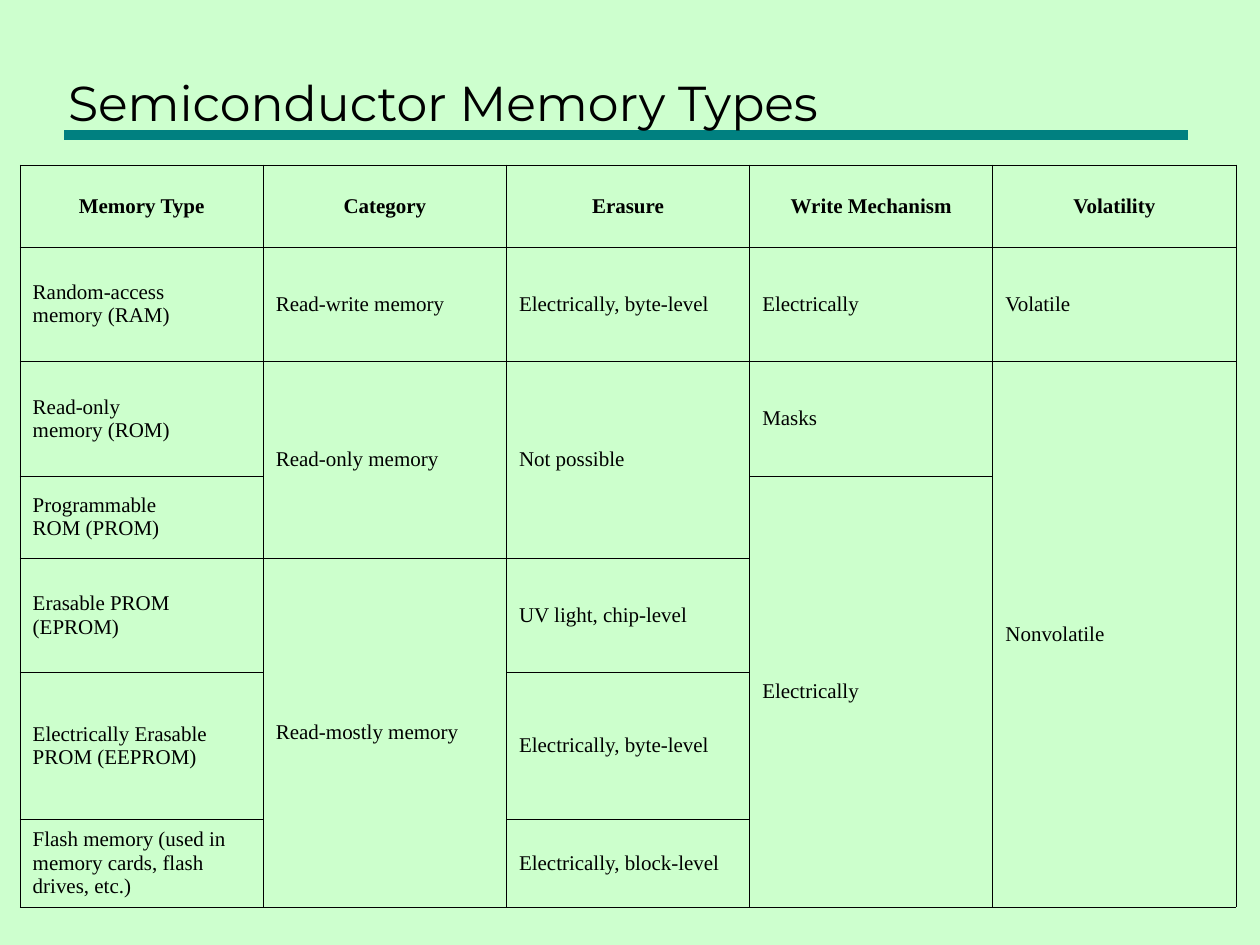
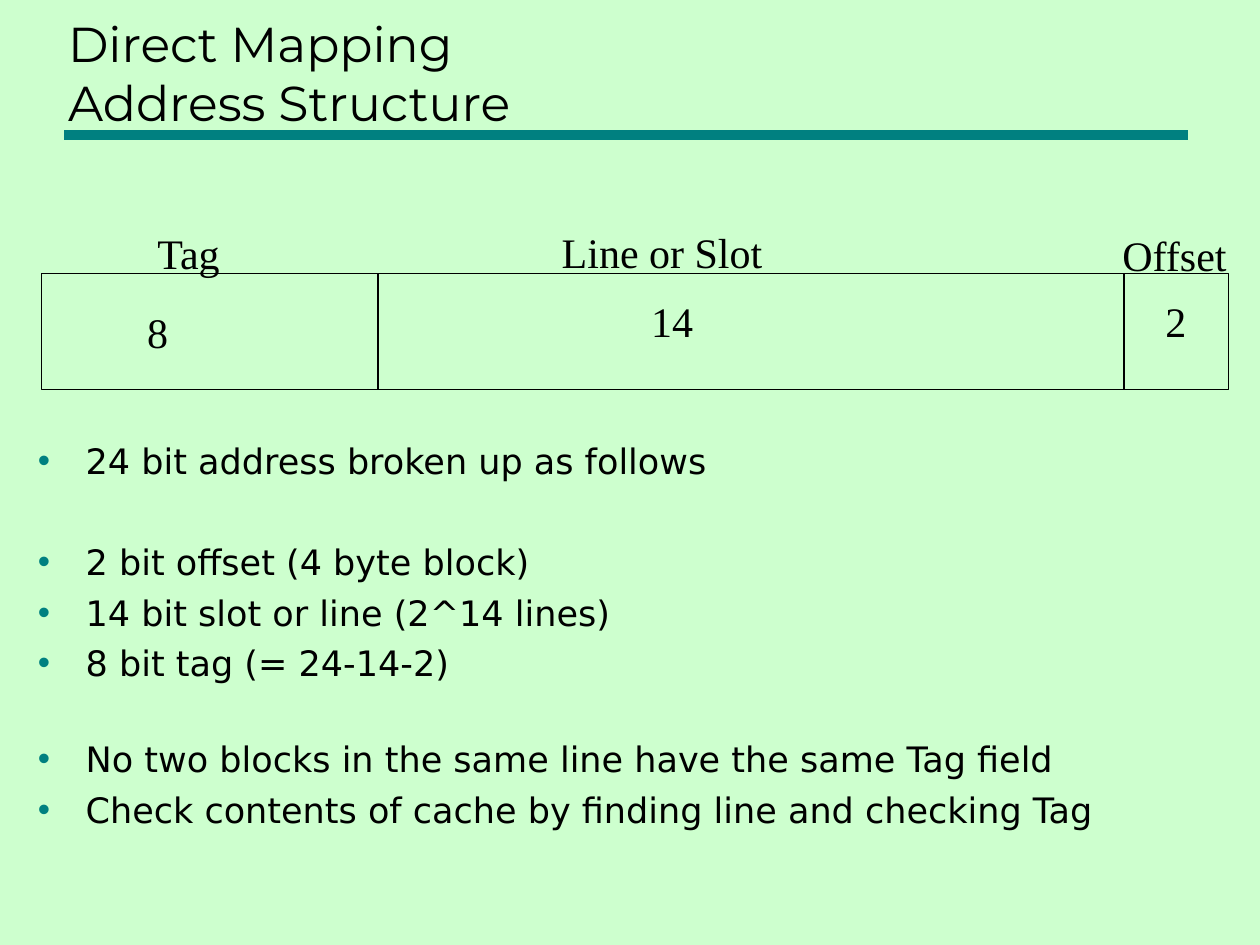
from lxml import etree
from pptx import Presentation
from pptx.dml.color import RGBColor
from pptx.enum.shapes import MSO_CONNECTOR, MSO_SHAPE
from pptx.enum.text import MSO_ANCHOR, MSO_AUTO_SIZE, PP_ALIGN
from pptx.oxml.ns import qn
from pptx.util import Inches, Pt

LEFT, CENTER = PP_ALIGN.LEFT, PP_ALIGN.CENTER
MIDDLE, BOTTOM = MSO_ANCHOR.MIDDLE, MSO_ANCHOR.BOTTOM
NO_AUTOFIT, FIT_SHAPE = MSO_AUTO_SIZE.NONE, MSO_AUTO_SIZE.SHAPE_TO_FIT_TEXT
STRAIGHT, RECTANGLE = MSO_CONNECTOR.STRAIGHT, MSO_SHAPE.RECTANGLE

BACKGROUND, CELL_FILL, TEAL, BLACK = "CDFFCE", "CCFFCC", "008080", "000000"
TITLE_FONT, BODY_FONT, LABEL_FONT = "Montserrat", "DejaVu Sans", "Times New Roman"
TITLE_ONLY, TITLE_AND_BODY = 5, 1

MEMORY_HEADER = ["Memory Type", "Category", "Erasure", "Write Mechanism", "Volatility"]
# None continues the cell above it.
MEMORY_ROWS = [
    ["Random-access\nmemory (RAM)", "Read-write memory", "Electrically, byte-level",
     "Electrically", "Volatile"],
    ["Read-only\nmemory (ROM)", "Read-only memory", "Not possible", "Masks", "Nonvolatile"],
    ["Programmable\nROM (PROM)", None, None, "Electrically", None],
    ["Erasable PROM\n(EPROM)", "Read-mostly memory", "UV light, chip-level", None, None],
    ["Electrically Erasable PROM (EEPROM)", None, "Electrically, byte-level", None, None],
    ["Flash memory (used in memory cards, flash drives, etc.)", None,
     "Electrically, block-level", None, None],
]
ROW_HEIGHTS = [0.65, 0.91, 0.91, 0.65, 0.91, 1.16, 0.7]
COLUMN_WIDTH = 1.93

# Text, left, top, width
ADDRESS_LABELS = [
    ("Tag", 1.15, 1.76, 0.72),
    ("Line or Slot", 4.36, 1.75, 1.79),
    ("Offset", 8.81, 1.77, 1.03),
    ("8", 1.07, 2.38, 0.36),
    ("14", 5.07, 2.3, 0.53),
    ("2", 9.15, 2.3, 0.36),
]
# Text, space before in points
ADDRESS_NOTES = [
    ("24 bit address broken up as follows", 0),
    ("2 bit offset (4 byte block)", 33.5),
    ("14 bit slot or line (2^14 lines)", 5),
    ("8 bit tag (= 24-14-2)", 5),
    ("No two blocks in the same line have the same Tag field", 30.5),
    ("Check contents of cache by finding line and checking Tag", 5),
]


def rgb(color):
    return RGBColor.from_string(color)


def place(shape, left, top, width, height):
    shape.left, shape.top = Inches(left), Inches(top)
    shape.width, shape.height = Inches(width), Inches(height)


def style(paragraph, font, size, bold=False):
    paragraph.font.name = font
    paragraph.font.size = Pt(size)
    paragraph.font.bold = bold
    paragraph.font.color.rgb = rgb(BLACK)


def add_line(slide, x1, y1, x2, y2, color, width):
    line = slide.shapes.add_connector(
        STRAIGHT, Inches(x1), Inches(y1), Inches(x2), Inches(y2))
    line.line.color.rgb = rgb(color)
    line.line.width = Pt(width)
    etree.SubElement(line.element.spPr, qn("a:effectLst"))
    return line


def add_titled_slide(prs, layout, title):
    """Add a slide with its title above the teal rule."""
    slide = prs.slides.add_slide(prs.slide_layouts[layout])
    rule = add_line(slide, 0.51, 1.07, 9.43, 1.07, TEAL, 6)
    slide.shapes.element.insert(2, rule.element)
    place(slide.shapes.title, 0.44, 0.17, 8.97, 0.92)
    frame = slide.shapes.title.text_frame
    frame.auto_size = NO_AUTOFIT
    frame.vertical_anchor = BOTTOM
    heading = frame.paragraphs[0]
    heading.text = title
    heading.alignment = LEFT
    style(heading, TITLE_FONT, 28)
    return slide


def set_borders(cell, color, width):
    properties = cell._tc.get_or_add_tcPr()
    for index, side in enumerate(("a:lnL", "a:lnR", "a:lnT", "a:lnB")):
        border = etree.Element(qn(side), w=str(Pt(width)))
        fill = etree.SubElement(border, qn("a:solidFill"))
        etree.SubElement(fill, qn("a:srgbClr"), val=color)
        properties.insert(index, border)


def add_memory_table(slide, left, top):
    rows = [MEMORY_HEADER] + MEMORY_ROWS
    columns = len(MEMORY_HEADER)
    table = slide.shapes.add_table(
        len(rows), columns, Inches(left), Inches(top),
        Inches(COLUMN_WIDTH * columns), Inches(sum(ROW_HEIGHTS))).table
    table.first_row = table.horz_banding = False
    for column in table.columns:
        column.width = Inches(COLUMN_WIDTH)
    for r, (values, height) in enumerate(zip(rows, ROW_HEIGHTS)):
        table.rows[r].height = Inches(height)
        for c, value in enumerate(values):
            cell = table.cell(r, c)
            cell.fill.solid()
            cell.fill.fore_color.rgb = rgb(CELL_FILL)
            set_borders(cell, BLACK, 0.45)
            cell.vertical_anchor = MIDDLE
            paragraph = cell.text_frame.paragraphs[0]
            paragraph.text = value or ""
            paragraph.alignment = LEFT if r else CENTER
            style(paragraph, LABEL_FONT, 12, bold=r == 0)
    merge_continued_cells(table, rows)


def merge_continued_cells(table, rows):
    for c in range(len(rows[0])):
        starts = [r for r, values in enumerate(rows) if values[c] is not None]
        for start, following in zip(starts, starts[1:] + [len(rows)]):
            if following - start > 1:
                table.cell(start, c).merge(table.cell(following - 1, c))


def add_label(slide, text, left, top, width):
    label = slide.shapes.add_textbox(Inches(left), Inches(top), Inches(width), Inches(0.5))
    label.text_frame.word_wrap = False
    label.text_frame.auto_size = FIT_SHAPE
    paragraph = label.text_frame.paragraphs[0]
    paragraph.text = text
    style(paragraph, LABEL_FONT, 24)


def add_address_fields(slide, left, top, width, height, dividers):
    """Draw the address word, split into fields at the divider positions."""
    word = slide.shapes.add_shape(
        RECTANGLE, Inches(left), Inches(top), Inches(width), Inches(height))
    word.shadow.inherit = False
    word.fill.background()
    word.line.color.rgb = rgb(BLACK)
    word.line.width = Pt(0.75)
    for x in dividers:
        add_line(slide, x, top, x, top + height, BLACK, 0.75)
    for label in ADDRESS_LABELS:
        add_label(slide, *label)


def add_bullet(paragraph, indent):
    properties = paragraph._p.get_or_add_pPr()
    properties.set("marL", str(Inches(indent)))
    properties.set("indent", str(-Inches(indent)))
    color = etree.SubElement(properties, qn("a:buClr"))
    etree.SubElement(color, qn("a:srgbClr"), val=TEAL)
    etree.SubElement(properties, qn("a:buChar"), char="•")


def fill_notes(body, notes):
    place(body, 0.2, 3.44, 9.19, 3.54)
    frame = body.text_frame
    frame.auto_size = NO_AUTOFIT
    for index, (text, space) in enumerate(notes):
        paragraph = frame.add_paragraph() if index else frame.paragraphs[0]
        paragraph.text = text
        paragraph.space_before = Pt(space)
        add_bullet(paragraph, 0.38)
        style(paragraph, BODY_FONT, 20)


def main():
    prs = Presentation()
    prs.slide_width, prs.slide_height = Inches(10), Inches(7.5)
    background = prs.slide_master.background.fill
    background.solid()
    background.fore_color.rgb = rgb(BACKGROUND)

    memory_types = add_titled_slide(prs, TITLE_ONLY, "Semiconductor Memory Types")
    add_memory_table(memory_types, 0.16, 1.31)

    mapping = add_titled_slide(prs, TITLE_AND_BODY, "Direct Mapping\nAddress Structure")
    add_address_fields(mapping, 0.33, 2.17, 9.42, 0.92, dividers=(3, 8.92))
    fill_notes(mapping.placeholders[1], ADDRESS_NOTES)

    prs.save("out.pptx")


if __name__ == "__main__":
    main()
